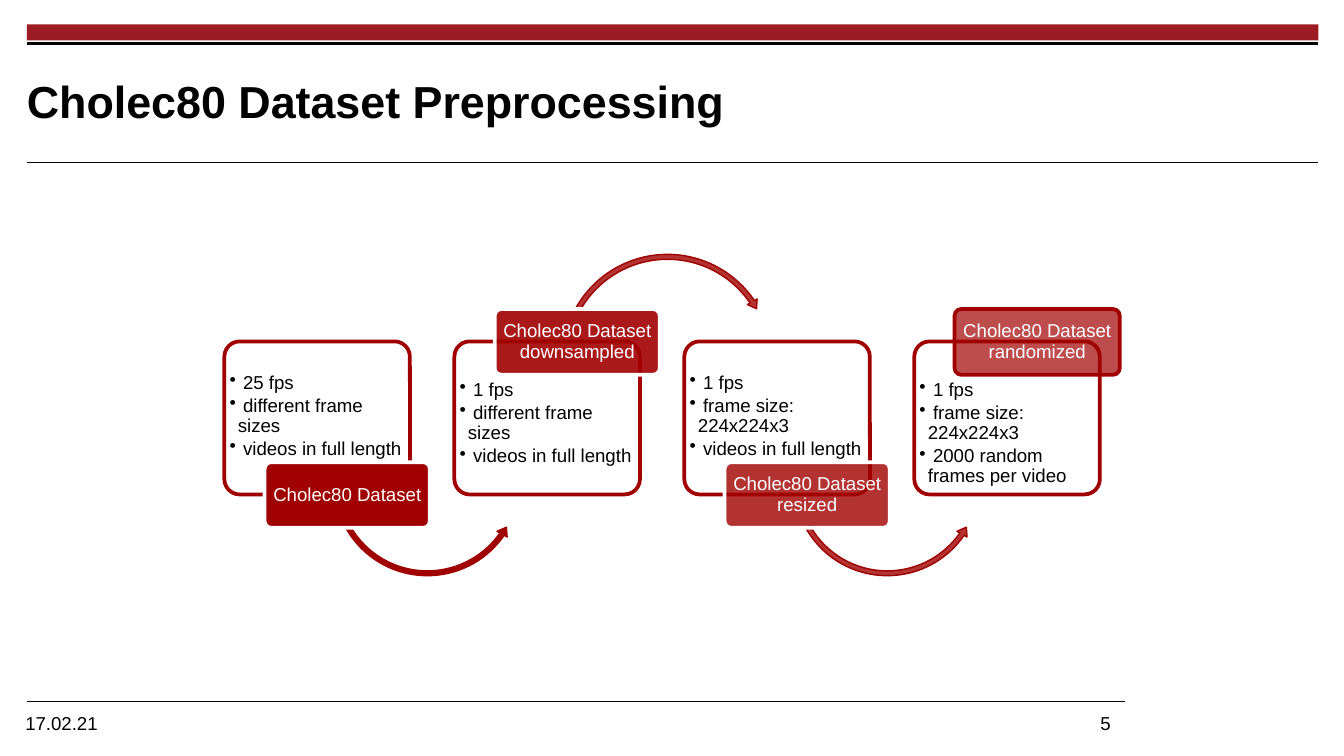
from dataclasses import dataclass

from lxml import etree
from pptx import Presentation
from pptx import util as u
from pptx.dml.color import RGBColor
from pptx.enum import shapes, text
from pptx.oxml.ns import qn

TITLE = "Cholec80 Dataset Preprocessing"
DATE, PAGE = "17.02.21", "5"

# label, facts, opacity of label, opacity of the arrow to the next stage
STAGES = [
    ("Cholec80 Dataset",
     ["25 fps", "different frame sizes", "videos in full length"], 100, 100),
    ("Cholec80 Dataset downsampled",
     ["1 fps", "different frame sizes", "videos in full length"], 90, 80),
    ("Cholec80 Dataset resized",
     ["1 fps", "frame size: 224x224x3", "videos in full length"], 80, 80),
    ("Cholec80 Dataset randomized",
     ["1 fps", "frame size: 224x224x3", "2000 random frames per video"], 70, None),
]


@dataclass(frozen=True)
class Theme:
    font: str = "Arial"
    title: float = 24
    body: float = 10
    black: RGBColor = RGBColor(0, 0, 0)
    white: RGBColor = RGBColor(255, 255, 255)
    banner: RGBColor = RGBColor(0x9C, 0x1C, 0x26)
    red: RGBColor = RGBColor(0xA1, 0, 0)


THEME = Theme()
MARGIN, RIGHT = 14.4, 706.3
CARD_LEFT, CARD_TOP, CARD_W, CARD_H = 120.2, 182.9, 99.4, 82
PITCH = 123.2
LABEL_SHIFT, LABEL_W, LABEL_H = 21.6, 88.5, 35.2
ROUNDING = 0.1

# Odd stages carry their label below, even stages above.
BELOW = dict(
    label_top=247.6, text_inset=14.5,
    arrow=shapes.MSO_SHAPE.LEFT_CIRCULAR_ARROW, arrow_shift=56.9,
    arrow_top=206.6, arrow_size=103.7,
    arrow_adjust=(0.025, 3.094, 20.849, 90.245, 0.03))
ABOVE = dict(
    label_top=165.6, text_inset=18.5,
    arrow=shapes.MSO_SHAPE.CIRCULAR_ARROW, arrow_shift=56.2,
    arrow_top=134.6, arrow_size=115.9,
    arrow_adjust=(0.023, 2.738, 195.507, 125.755, 0.026))


def add_run(paragraph, words, color, size=THEME.body, bold=False):
    run = paragraph.add_run()
    run.text = words
    run.font.name, run.font.size, run.font.bold = THEME.font, u.Pt(size), bold
    run.font.color.rgb = color


def set_frame(shape, anchor, margins):
    """Wrap the text and set left, top, right and bottom margins."""
    frame = shape.text_frame
    frame.word_wrap = True
    frame.vertical_anchor = anchor
    (frame.margin_left, frame.margin_top,
     frame.margin_right, frame.margin_bottom) = map(u.Pt, margins)
    return frame


def add_figure(slide, kind, box, fill, opacity=100, outline=None, width=2, adjust=()):
    figure = slide.shapes.add_shape(kind, *map(u.Pt, box))
    figure.shadow.inherit = False
    figure.fill.solid()
    figure.fill.fore_color.rgb = fill
    if opacity < 100:
        color = figure.element.spPr.find(qn("a:solidFill"))[0]
        etree.SubElement(color, qn("a:alpha"), val=str(opacity * 1000))
    if outline is None:
        figure.line.fill.background()
    else:
        figure.line.color.rgb = outline
        figure.line.width = u.Pt(width)
    for index, value in enumerate(adjust):
        figure.adjustments[index] = value
    return figure


def add_rule(slide, y, right, width):
    rule = slide.shapes.add_connector(
        shapes.MSO_CONNECTOR.STRAIGHT, *map(u.Pt, (MARGIN, y, right, y)))
    rule.line.color.rgb = THEME.black
    rule.line.width = u.Pt(width)
    etree.SubElement(rule.element.spPr, qn("a:effectLst"))


def add_facts(card, facts, top_inset):
    frame = set_frame(card, text.MSO_ANCHOR.TOP, (0.4, top_inset, 0.4, 0))
    for index, fact in enumerate(facts):
        line = frame.paragraphs[0] if index == 0 else frame.add_paragraph()
        props = line._p.get_or_add_pPr()
        props.set("marL", str(u.Pt(4.5)))
        props.set("indent", str(u.Pt(-4.5)))
        etree.SubElement(props, qn("a:buChar"), char="•")
        line.alignment = text.PP_ALIGN.LEFT
        line.line_spacing = 0.9
        line.space_after = u.Pt(1.5)
        add_run(line, f" {fact}", THEME.black)


def add_stage(slide, index, label, facts, opacity, arrow_opacity):
    side = ABOVE if index % 2 else BELOW
    left = CARD_LEFT + index * PITCH
    rounded = shapes.MSO_SHAPE.ROUNDED_RECTANGLE
    card = add_figure(slide, rounded, (left, CARD_TOP, CARD_W, CARD_H),
                      THEME.white, 90, THEME.red, adjust=[ROUNDING])
    add_facts(card, facts, side["text_inset"])

    is_last = arrow_opacity is None
    if not is_last:
        size = side["arrow_size"]
        add_figure(slide, side["arrow"],
                   (left + side["arrow_shift"], side["arrow_top"], size, size),
                   THEME.red, arrow_opacity, THEME.red, 0.75, side["arrow_adjust"])

    tag = add_figure(slide, rounded,
                     (left + LABEL_SHIFT, side["label_top"], LABEL_W, LABEL_H),
                     THEME.red, opacity, THEME.red if is_last else THEME.white,
                     adjust=[ROUNDING])
    frame = set_frame(tag, text.MSO_ANCHOR.MIDDLE, (1, 0, 1, 0))
    caption = frame.paragraphs[0]
    caption.alignment = text.PP_ALIGN.CENTER
    caption.line_spacing = 0.9
    add_run(caption, label, THEME.white)


def add_title(slide):
    title = slide.shapes.title
    title.left, title.top, title.width, title.height = map(
        u.Pt, (MARGIN, 28.8, 537, 49.7))
    heading = set_frame(title, text.MSO_ANCHOR.MIDDLE, (0, 0, 0, 0)).paragraphs[0]
    heading.alignment = text.PP_ALIGN.LEFT
    add_run(heading, TITLE, THEME.black, THEME.title, bold=True)


def add_footer(slide):
    footer = slide.shapes.add_textbox(*map(u.Pt, (6.5, 378, 602.6, 13.7)))
    line = set_frame(footer, text.MSO_ANCHOR.TOP, (7.2, 3.6, 7.2, 3.6)).paragraphs[0]
    tabs = etree.SubElement(line._p.get_or_add_pPr(), qn("a:tabLst"))
    etree.SubElement(tabs, qn("a:tab"), pos=str(u.Pt(576)), algn="l")
    add_run(line, f"{DATE}\t{PAGE}", THEME.black)


def main():
    deck = Presentation()
    deck.slide_width, deck.slide_height = u.Pt(720), u.Pt(405)
    slide = deck.slides.add_slide(deck.slide_layouts[5])

    add_figure(slide, shapes.MSO_SHAPE.RECTANGLE,
               (MARGIN, 13, RIGHT - MARGIN, 8.6), THEME.banner)
    for y, right, width in [(23.3, RIGHT, 1.2), (87, RIGHT, 0.6), (376, 602.6, 0.6)]:
        add_rule(slide, y, right, width)
    add_title(slide)
    add_footer(slide)
    for index, stage in enumerate(STAGES):
        add_stage(slide, index, *stage)

    deck.save("out.pptx")


if __name__ == "__main__":
    main()
